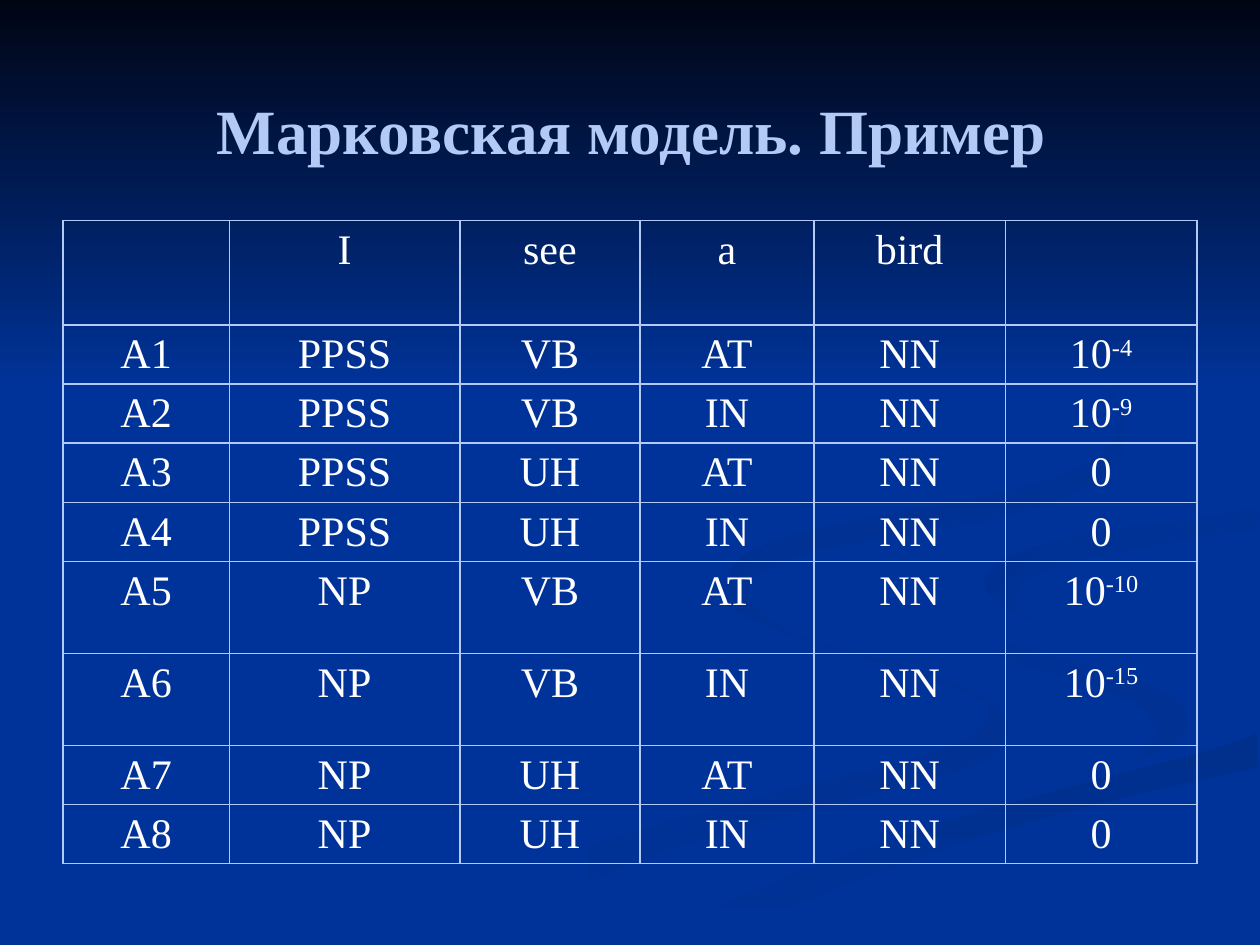
from lxml import etree
from pptx import Presentation
from pptx.dml.color import RGBColor
from pptx.enum.text import MSO_ANCHOR, PP_ALIGN
from pptx.oxml.ns import qn
from pptx.util import Inches, Pt

CENTER = PP_ALIGN.CENTER
MIDDLE = MSO_ANCHOR.MIDDLE
FONT = "Times New Roman"
BLUE = RGBColor(0x00, 0x33, 0x99)
NIGHT = RGBColor(0x00, 0x05, 0x14)
PALE = RGBColor(0xB4, 0xCA, 0xF6)
WHITE = RGBColor(0xFF, 0xFF, 0xFF)
DEEP = RGBColor(0x00, 0x31, 0x93)
DARK = RGBColor(0x00, 0x2F, 0x8C)
SHADE = RGBColor(0x00, 0x30, 0x91)
DUSK = RGBColor(0x00, 0x2F, 0x8E)

TAIL = [
    (7.81, 5.53), (7.67, 5.47), (7.45, 5.38), (7.15, 5.28), (6.82, 5.19), (6.42, 5.07),
    (6.14, 4.96), (5.94, 4.85), (5.83, 4.77), (5.76, 4.69), (5.74, 4.64), (5.75, 4.59),
    (5.70, 4.68), (5.72, 4.76), (5.81, 4.84), (5.93, 4.91), (6.11, 4.99), (6.54, 5.13),
    (6.97, 5.25), (7.28, 5.35), (7.52, 5.43), (7.70, 5.51), (7.81, 5.56), (7.86, 5.66),
    (7.83, 5.74), (7.74, 5.83), (7.59, 5.90), (7.39, 5.98), (7.14, 6.05), (6.84, 6.13),
    (6.16, 6.29), (5.39, 6.49), (4.58, 6.74), (4.17, 6.90), (3.76, 7.07), (3.38, 7.27),
    (3.00, 7.49), (3.61, 7.49), (3.96, 7.31), (4.31, 7.14), (4.66, 7.00), (5.32, 6.74),
    (5.94, 6.56), (6.51, 6.40), (6.99, 6.28), (7.40, 6.18), (7.69, 6.09), (7.86, 6.01),
    (7.95, 5.92), (8.00, 5.81), (7.99, 5.73), (7.92, 5.61)]
CURL = [
    (9.43, 5.70), (9.39, 5.62), (9.30, 5.53), (9.19, 5.47), (9.05, 5.40), (8.70, 5.30),
    (8.30, 5.19), (7.92, 5.09), (7.58, 4.98), (7.33, 4.83), (7.27, 4.74), (7.24, 4.64),
    (7.25, 4.74), (7.30, 4.84), (7.39, 4.94), (7.55, 5.05), (7.81, 5.18), (8.15, 5.30),
    (8.54, 5.39), (8.80, 5.49), (9.00, 5.57), (9.11, 5.67), (9.18, 5.81), (9.14, 5.89),
    (9.07, 5.97), (8.94, 6.05), (9.16, 5.97), (9.32, 5.89), (9.41, 5.81)]
SWEEP = [
    (5.19, 7.47), (5.03, 7.49), (5.71, 7.49), (5.87, 7.40), (6.14, 7.26), (6.49, 7.10),
    (6.95, 6.92), (7.52, 6.72), (8.21, 6.51), (9.03, 6.30), (9.98, 6.09), (9.98, 5.81),
    (9.85, 5.87), (9.63, 5.94), (9.36, 6.02), (9.03, 6.10), (8.31, 6.29), (7.64, 6.47),
    (6.96, 6.69), (6.30, 6.93), (5.69, 7.19), (5.43, 7.33)]
BODY = [
    (7.25, 4.64), (7.28, 4.74), (7.34, 4.83), (7.59, 4.98), (7.93, 5.09), (8.31, 5.19),
    (8.71, 5.30), (9.05, 5.40), (9.31, 5.53), (9.39, 5.62), (9.43, 5.70), (9.42, 5.79),
    (9.36, 5.87), (9.26, 5.93), (9.11, 6.00), (8.92, 6.05), (8.69, 6.11), (8.12, 6.25),
    (7.43, 6.43), (6.63, 6.68), (6.19, 6.84), (5.73, 7.03), (5.26, 7.24), (4.77, 7.49),
    (5.03, 7.49), (5.19, 7.47), (5.70, 7.19), (6.30, 6.93), (6.96, 6.69), (7.65, 6.47),
    (8.32, 6.29), (9.04, 6.10), (9.36, 6.02), (9.64, 5.94), (9.86, 5.87), (9.99, 5.81),
    (9.99, 5.38), (9.74, 5.34), (9.41, 5.27), (9.04, 5.19), (8.66, 5.09), (8.32, 4.98),
    (8.04, 4.85), (7.86, 4.73), (7.81, 4.63), (7.86, 4.53), (8.00, 4.42), (8.22, 4.34),
    (8.50, 4.27), (8.99, 4.18), (9.33, 4.15), (9.68, 4.09), (9.99, 4.02), (9.99, 3.87),
    (9.62, 3.95), (9.20, 4.01), (8.74, 4.08), (8.30, 4.15), (7.88, 4.22), (7.55, 4.32),
    (7.32, 4.46), (7.27, 4.54)]
EDGE = [
    (7.81, 4.60), (7.82, 4.69), (7.91, 4.78), (8.06, 4.87), (8.26, 4.96), (8.12, 4.87),
    (8.06, 4.80), (8.05, 4.72), (8.09, 4.66), (8.16, 4.59), (8.28, 4.53), (8.43, 4.48),
    (8.78, 4.39), (9.36, 4.29), (9.71, 4.23), (9.98, 4.20), (9.98, 4.02), (9.67, 4.09),
    (9.33, 4.15), (8.98, 4.18), (8.49, 4.27), (8.21, 4.34), (7.99, 4.42), (7.85, 4.53)]
CREST = [
    (6.83, 4.30), (7.39, 4.21), (7.86, 4.12), (8.25, 4.02), (8.55, 3.91), (8.76, 3.78),
    (8.89, 3.62), (8.94, 3.44), (8.90, 3.24), (8.80, 3.07), (8.64, 2.91), (8.43, 2.75),
    (8.21, 2.61), (7.99, 2.50), (7.80, 2.41), (7.62, 2.33), (8.05, 2.54), (8.46, 2.79),
    (8.62, 2.92), (8.76, 3.06), (8.85, 3.20), (8.89, 3.35), (8.86, 3.48), (8.76, 3.60),
    (8.61, 3.70), (8.42, 3.78), (8.18, 3.86), (7.63, 3.98), (7.04, 4.09), (6.49, 4.20),
    (6.25, 4.26), (6.05, 4.33), (5.89, 4.41), (5.80, 4.51), (5.77, 4.62), (5.80, 4.74),
    (5.90, 4.84), (6.04, 4.92), (6.22, 5.00), (6.07, 4.90), (5.97, 4.80), (5.93, 4.70),
    (5.96, 4.61), (6.06, 4.52), (6.24, 4.44), (6.49, 4.36)]
BAND = [(0, 0), (0, 3.08), (10, 3.08), (10, 0)]
RIBBONS = [
    (TAIL, BLUE, DEEP, 0), (CURL, BLUE, DEEP, 45), (SWEEP, DARK, BLUE, 90),
    (BODY, BLUE, BLUE, 0), (EDGE, SHADE, BLUE, 45), (CREST, DUSK, BLUE, 45),
    (BAND, NIGHT, BLUE, 90)]

COLS = [1.32, 1.83, 1.43, 1.38, 1.52, 1.52]
ROWS = [0.83, 0.44, 0.44, 0.44, 0.44, 0.73, 0.73, 0.44, 0.44]
CELLS = [
    ["", "I", "see", "a", "bird", ""],
    ["A1", "PPSS", "VB", "AT", "NN", "10^-4"],
    ["A2", "PPSS", "VB", "IN", "NN", "10^-9"],
    ["A3", "PPSS", "UH", "AT", "NN", "0"],
    ["A4", "PPSS", "UH", "IN", "NN", "0"],
    ["A5", "NP", "VB", "AT", "NN", "10^-10"],
    ["A6", "NP", "VB", "IN", "NN", "10^-15"],
    ["A7", "NP", "UH", "AT", "NN", "0"],
    ["A8", "NP", "UH", "IN", "NN", "0"]]


def write(frame, text, size=24, color=WHITE, bold=False):
    """Put centred text in a frame, raising what follows a caret."""
    para = frame.paragraphs[0]
    para.alignment = CENTER
    for place, part in enumerate(text.split("^")):
        run = para.add_run()
        run.text = part
        font = run.font
        font.name, font.size, font.bold = FONT, Pt(size), bold
        font.color.rgb = color
        if place:
            run._r.get_or_add_rPr().set("baseline", "30000")


def ribbon(slide, points, start, end, angle):
    """Draw a closed outline, plain or with a two-colour gradient."""
    spots = [(x * 100, y * 100) for x, y in points]
    pen = slide.shapes.build_freeform(*spots[0], scale=Inches(0.01))
    pen.add_line_segments(spots[1:], close=True)
    shape = pen.convert_to_shape()
    shape.shadow.inherit = False
    shape.line.fill.background()
    if start == end:
        shape.fill.solid()
        shape.fill.fore_color.rgb = start
        return
    shape.fill.gradient()
    shape.fill.gradient_angle = -angle % 360
    for stop, color in zip(shape.fill.gradient_stops, (start, end)):
        stop.color.rgb = color


def border(cell):
    """Give a cell thin pale lines on all four sides."""
    props = cell._tc.get_or_add_tcPr()
    for side in ("a:lnL", "a:lnR", "a:lnT", "a:lnB"):
        line = etree.SubElement(props, qn(side), w=str(Pt(1)))
        fill = etree.SubElement(line, qn("a:solidFill"))
        etree.SubElement(fill, qn("a:srgbClr"), val=str(PALE))


def grid(slide):
    """Add the table of tag chains and their odds."""
    table = slide.shapes.add_table(
        len(ROWS), len(COLS), Inches(0.5), Inches(1.75),
        Inches(sum(COLS)), Inches(sum(ROWS))).table
    table.first_row = table.horz_banding = False
    for col, width in zip(table.columns, COLS):
        col.width = Inches(width)
    for row, height, texts in zip(table.rows, ROWS, CELLS):
        row.height = Inches(height)
        for cell, text in zip(row.cells, texts):
            border(cell)
            cell.fill.background()
            if text:
                write(cell.text_frame, text)


def head(slide, text):
    """Place the title in front of the backdrop."""
    title = slide.shapes.title
    title.left, title.top = Inches(0.51), Inches(0.28)
    title.width, title.height = Inches(9), Inches(1.49)
    title.text_frame.word_wrap = True
    title.text_frame.vertical_anchor = MIDDLE
    write(title.text_frame, text, size=36, color=PALE, bold=True)
    slide.shapes._spTree.append(title._element)


def main():
    """Build the slide and save it."""
    deck = Presentation()
    deck.slide_width, deck.slide_height = Inches(10), Inches(7.5)
    slide = deck.slides.add_slide(deck.slide_layouts[5])
    slide.background.fill.solid()
    slide.background.fill.fore_color.rgb = BLUE
    for item in RIBBONS:
        ribbon(slide, *item)
    grid(slide)
    head(slide, "Марковская модель. Пример")
    deck.save("out.pptx")


if __name__ == "__main__":
    main()
